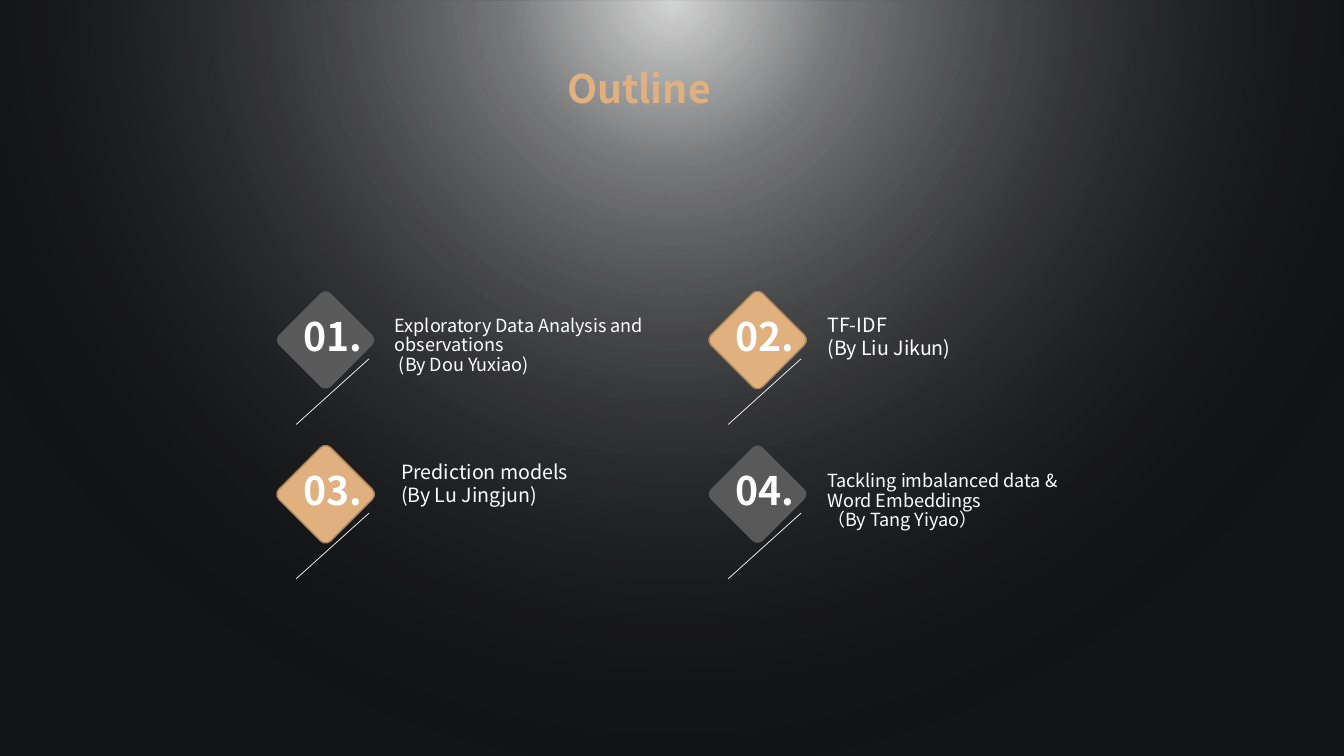
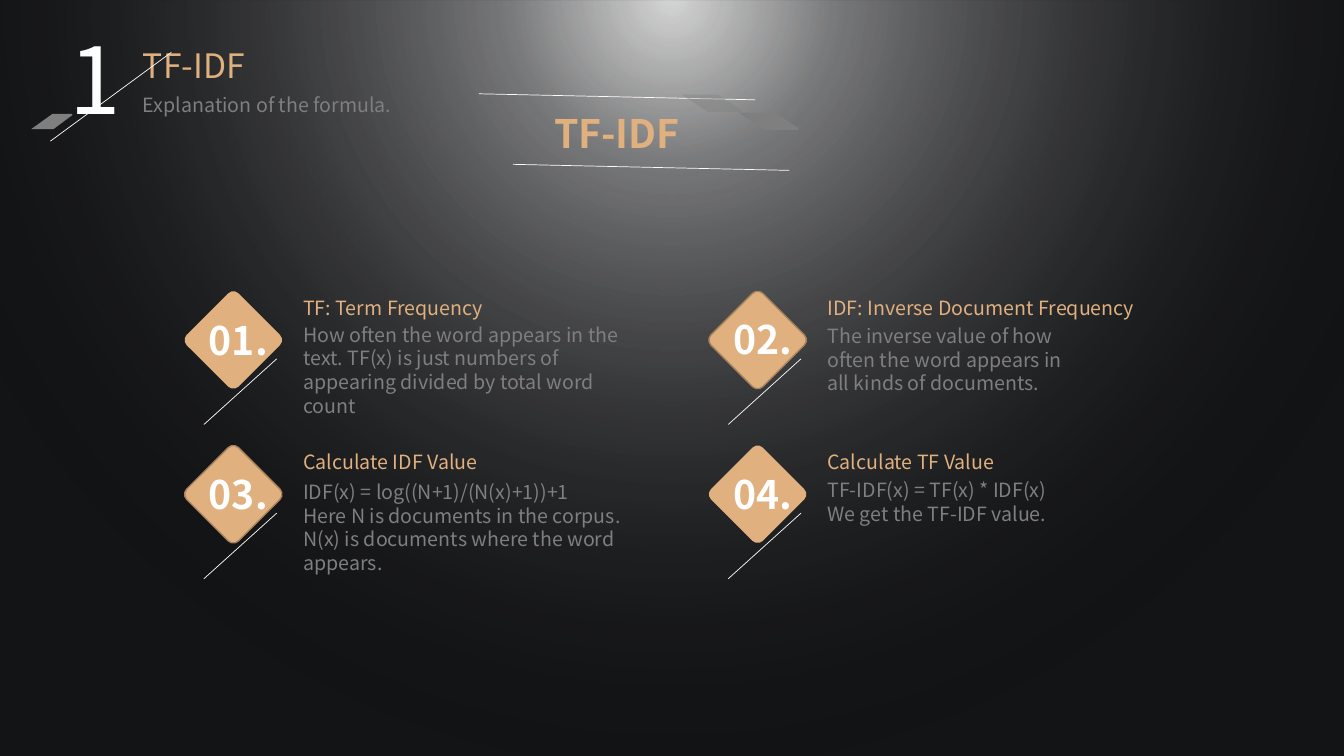
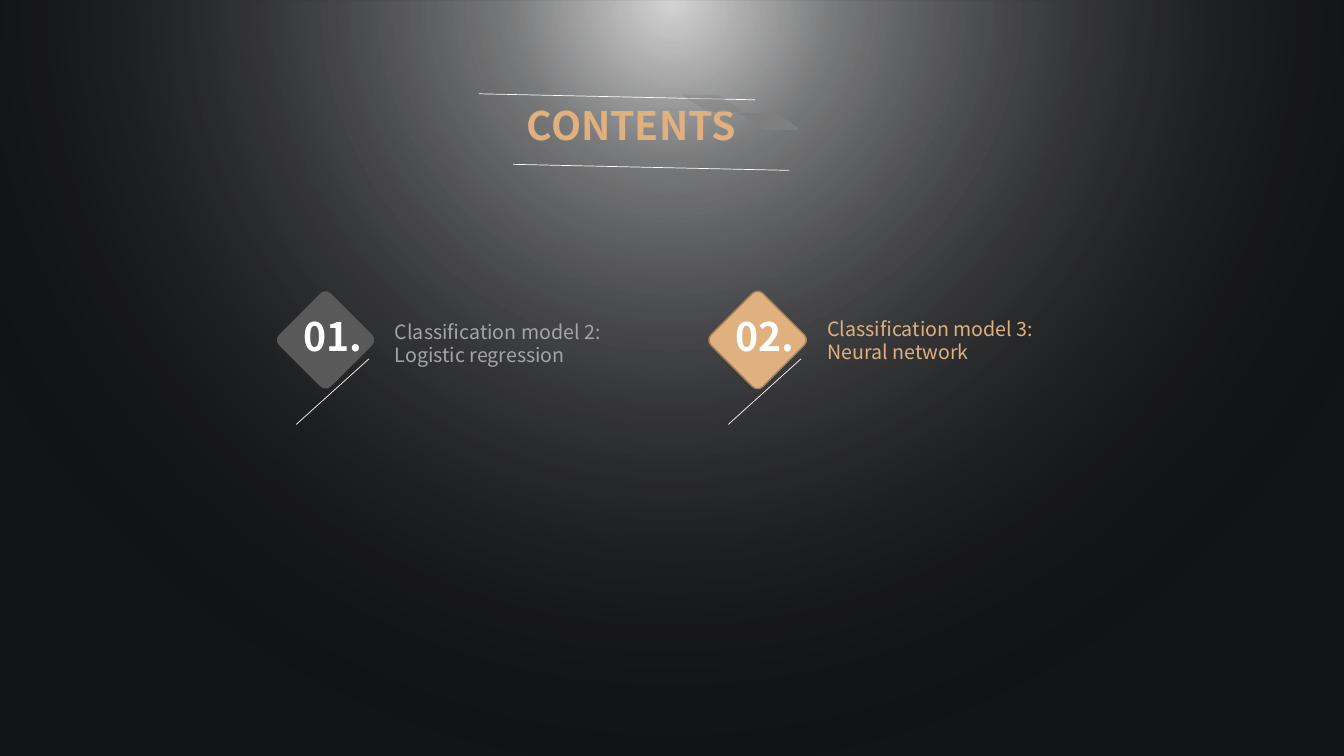
"""Build the outline, TF-IDF and contents slides on a spotlit dark background."""
from lxml.etree import SubElement
from pptx import Presentation
from pptx.dml.color import RGBColor
from pptx.enum.shapes import MSO_CONNECTOR, MSO_SHAPE
from pptx.enum.text import MSO_ANCHOR, MSO_AUTO_SIZE, PP_ALIGN
from pptx.oxml import parse_xml
from pptx.oxml.ns import nsdecls, qn
from pptx.util import Pt

FONT = "Noto Sans CJK SC"
WHITE, SAND, BROWN = "FFFFFF", "E0B07F", "A6825E"
DARK, GREY, SILVER, IVORY = "595959", "7F7F7F", "A5A5A5", "FDFBF9"
LEFT, RIGHT, TOP, BOTTOM = 206.4, 515, 216.7, 326.9
INNER_LEFT = 140.5
DIAMOND = 52.3
color = RGBColor.from_string


def add_text(slide, text, left, top, width, height, size=14, fill=WHITE, bold=False,
             align=PP_ALIGN.LEFT, anchor=MSO_ANCHOR.MIDDLE, spacing=None, last_indent=0):
    box = slide.shapes.add_textbox(Pt(left), Pt(top), Pt(width), Pt(height))
    frame = box.text_frame
    frame.word_wrap = True
    frame.auto_size = MSO_AUTO_SIZE.NONE
    frame.vertical_anchor = anchor
    frame.text = text
    for paragraph in frame.paragraphs:
        paragraph.alignment = align
        paragraph.line_spacing = spacing
        for run in paragraph.runs:
            run.font.name = FONT
            run.font.size = Pt(size)
            run.font.bold = bold
            run.font.color.rgb = color(fill)
            SubElement(run.font._element, qn("a:ea")).set("typeface", FONT)
    if last_indent:
        paragraph._p.get_or_add_pPr().set("indent", str(Pt(last_indent)))


def add_line(slide, *ends):
    connector = slide.shapes.add_connector(MSO_CONNECTOR.STRAIGHT, *[Pt(end) for end in ends])
    connector.line.color.rgb = color(IVORY)
    connector.line.width = Pt(0.5)
    SubElement(connector.element.spPr, qn("a:effectLst"))


presentation = Presentation()
presentation.slide_width, presentation.slide_height = Pt(960), Pt(540)
master = presentation.slide_master
master.background.fill.solid()
master.background.fill.fore_color.rgb = color("131416")
blank = presentation.slide_layouts[6]
slides = [presentation.slides.add_slide(blank) for _ in range(3)]
outline, formula, contents = slides

glow = outline.shapes.add_shape(MSO_SHAPE.RECTANGLE, 0, 0, Pt(960), Pt(540))
glow.shadow.inherit = False
glow.line.fill.background()
glow.fill.background()
stops = "".join(
    f'<a:gs pos="{position}000"><a:srgbClr val="{fill}"><a:alpha val="{alpha}000"/></a:srgbClr></a:gs>'
    for position, fill, alpha in [(0, WHITE, 82), (21, WHITE, 43), (100, "000000", 0)])
properties = glow.element.spPr
properties.replace(properties.find(qn("a:noFill")), parse_xml(
    f'<a:gradFill {nsdecls("a")} rotWithShape="1"><a:gsLst>{stops}</a:gsLst><a:path path="circle">'
    '<a:fillToRect l="50000" t="-80000" r="50000" b="180000"/></a:path></a:gradFill>'))
master.shapes.element.insert(2, glow.element)

for slide in (formula, contents):
    add_line(slide, 563.8, 121.7, 366.5, 117.4)
    add_line(slide, 539.3, 71.3, 342, 67)

markers = [
    (outline, "01.", LEFT, TOP, DARK, False, 0, -2.9),
    (outline, "02.", RIGHT, TOP, SAND, True, 0, -2.9),
    (outline, "03.", LEFT, BOTTOM, SAND, True, 0, -2.9),
    (outline, "04.", RIGHT, BOTTOM, DARK, False, 0, -2.9),
    (formula, "01.", INNER_LEFT, TOP, SAND, False, -1.5, 0),
    (formula, "02.", RIGHT, TOP, SAND, True, -1.5, -0.7),
    (formula, "03.", INNER_LEFT, BOTTOM, SAND, True, -1.5, -0.7),
    (formula, "04.", RIGHT, BOTTOM, SAND, False, -1.5, -0.7),
    (contents, "01.", LEFT, TOP, DARK, False, 0, -2.9),
    (contents, "02.", RIGHT, TOP, SAND, True, 0, -2.9),
]
for slide, number, left, top, fill, outlined, shift_x, shift_y in markers:
    diamond = slide.shapes.add_shape(
        MSO_SHAPE.ROUNDED_RECTANGLE, Pt(left), Pt(top), Pt(DIAMOND), Pt(DIAMOND))
    diamond.adjustments[0] = 0.1
    diamond.rotation = 45
    diamond.shadow.inherit = False
    diamond.fill.solid()
    diamond.fill.fore_color.rgb = color(fill)
    if outlined:
        diamond.line.color.rgb = color(BROWN)
        diamond.line.width = Pt(1)
    else:
        diamond.line.fill.background()
    add_line(slide, left + 57.2, top + 39.6, left + 5.2, top + 86.5)
    add_text(slide, number, left + shift_x, top + shift_y, 62.6, DIAMOND,
             size=28, bold=True, align=PP_ALIGN.CENTER)

add_text(outline, "Exploratory Data Analysis and observations\n(By Dou Yuxiao)",
         275, 221, 198, DIAMOND, size=12.9, spacing=0.9, last_indent=2.9)
add_text(outline, "TF-IDF\n(By Liu Jikun)", 583.9, 213.8, 198, DIAMOND)
add_text(outline, "Prediction models\n(By Lu Jingjun)", 279.4, 319, 198, DIAMOND)
add_text(outline, "Tackling imbalanced data & Word Embeddings\n（By Tang Yiyao）",
         583.9, 331.9, 198, DIAMOND, size=12.9, spacing=0.9)

explanations = [
    (209.5, 193.7, "TF: Term Frequency", 219.6, 255.6, 89.3,
     "How often the word appears in the text. TF(x) is just numbers of appearing divided by total word count"),
    (583.9, 193.7, "IDF: Inverse Document Frequency", 227.5, 198, 58.3,
     "The inverse value of how often the word appears in all kinds of documents."),
    (209.5, 303.4, "Calculate IDF Value", 332, 255.6, 89.3,
     "IDF(x) = log((N+1)/(N(x)+1))+1\nHere N is documents in the corpus.\n"
     "N(x) is documents where the word appears."),
    (583.9, 303.4, "Calculate TF Value", 332, 198, DIAMOND,
     "TF-IDF(x) = TF(x) * IDF(x)\nWe get the TF-IDF value."),
]
for left, heading_top, heading, body_top, width, height, body in explanations:
    add_text(formula, heading, left, heading_top, 303, DIAMOND, fill=SAND)
    add_text(formula, body, left, body_top, width, height, fill=GREY)

add_text(contents, "Classification model 2:\nLogistic regression", 275, 218.9, 303, DIAMOND, fill=SILVER)
add_text(contents, "Classification model 3:\nNeural network", 583.9, 216.7, 303, DIAMOND, fill=SAND)

titles = [
    (outline, "Outline", 308.2, 42.5, 206.6, PP_ALIGN.RIGHT),
    (formula, "TF-IDF", 371.5, 74.2, 138.2, PP_ALIGN.CENTER),
    (contents, "CONTENTS", 326.2, 69.1, 206.6, PP_ALIGN.RIGHT),
]
for slide, title, left, top, width, align in titles:
    add_text(slide, title, left, top, width, 41, size=28, fill=SAND, bold=True,
             align=align, anchor=MSO_ANCHOR.TOP)

ribbon = [(570.2, 91.4), (570.2, 92.9), (546.5, 92.9), (527.8, 80.6), (553.7, 80.6)]
faded_ribbon = [(x - 41, y - 13) for x, y in ribbon]
section_ribbon = [(51.1, 81.4), (51.8, 82.1), (38.2, 92.2), (22.3, 92.2), (37.4, 81.4)]
ribbons = [(slide, points, alpha) for slide in (formula, contents)
           for points, alpha in [(ribbon, 100), (faded_ribbon, 37)]]
for slide, points, alpha in ribbons + [(formula, section_ribbon, 100)]:
    corners = [(Pt(x), Pt(y)) for x, y in points]
    builder = slide.shapes.build_freeform(*corners[0])
    builder.add_line_segments(corners[1:], close=True)
    shape = builder.convert_to_shape()
    shape.shadow.inherit = False
    shape.fill.solid()
    shape.fill.fore_color.rgb = color(GREY)
    shape.line.fill.background()
    if alpha < 100:
        tint = shape.element.spPr.find(".//" + qn("a:srgbClr"))
        SubElement(tint, qn("a:alpha")).set("val", f"{alpha}000")

add_text(formula, "1", 42.5, 12.2, 44.6, 87, size=66, anchor=MSO_ANCHOR.TOP)
add_text(formula, "TF-IDF", 95, 28.8, 603, 36, size=24, fill=SAND, anchor=MSO_ANCHOR.TOP)
add_text(formula, "Explanation of the formula.", 95, 62.6, 603, 24.5, fill=GREY, anchor=MSO_ANCHOR.TOP)
add_line(formula, 122.4, 37.4, 36, 100.8)

presentation.save("out.pptx")
